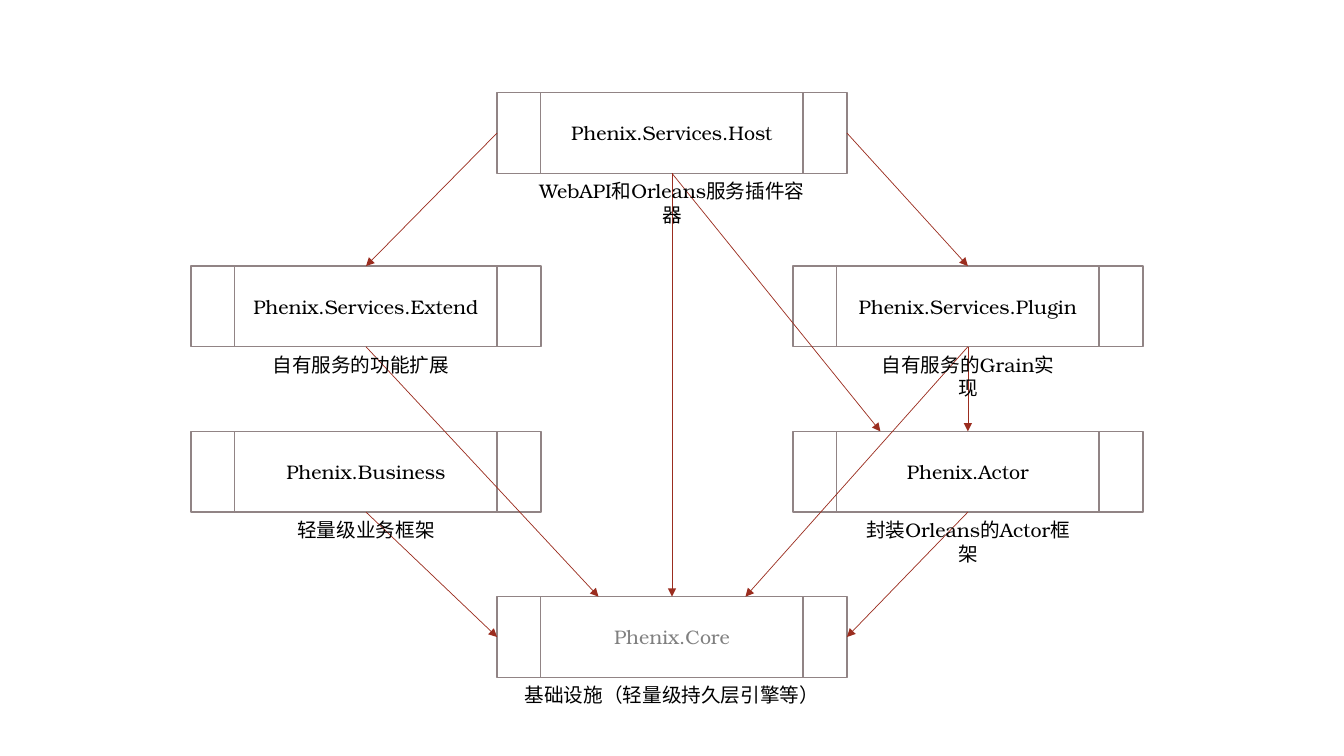
"""Build a one-slide dependency diagram of the Phenix modules."""
from lxml.etree import SubElement
from pptx import Presentation
from pptx.dml.color import RGBColor
from pptx.enum.shapes import MSO_CONNECTOR as Connector, MSO_SHAPE as Shape
from pptx.enum.text import MSO_ANCHOR as Anchor, PP_ALIGN as Align
from pptx.oxml.ns import qn
from pptx.util import Inches, Pt

FONT = "TeX Gyre Bonum"
BLACK, GRAY, WHITE, BORDER, ARROW = "000000", "808080", "FFFFFF", "918485", "9B2D1F"
SLIDE_WIDTH, SLIDE_HEIGHT = 13.33, 7.5
COLUMN_CENTERS = (3.63, SLIDE_WIDTH / 2, 9.6)
ROW_TOPS = (0.92, 2.64, 4.28, 5.92)
BOX_WIDTH, BOX_HEIGHT = 3.47, 0.8
CAPTION_HEIGHT, CAPTION_GAP = 0.34, 0.01
TOP, LEFT, BOTTOM, RIGHT = range(4)

MODULES = {
    "Phenix.Services.Host": dict(column=1, row=0, caption="WebAPI和Orleans服务插件容器", width=3.01),
    "Phenix.Actor": dict(column=2, row=2, caption="封装Orleans的Actor框架", width=2.39),
    "Phenix.Core": dict(column=1, row=3, caption="基础设施（轻量级持久层引擎等）", width=3.15, color=GRAY),
    "Phenix.Services.Extend": dict(column=0, row=1, caption="自有服务的功能扩展", width=1.97, shift=-0.05),
    "Phenix.Business": dict(column=0, row=2, caption="轻量级业务框架", width=1.58),
    "Phenix.Services.Plugin": dict(column=2, row=1, caption="自有服务的Grain实现", width=2.1),
}
DEPENDENCIES = (
    dict(source="Phenix.Services.Host", target="Phenix.Core"),
    dict(source="Phenix.Services.Host", target="Phenix.Services.Extend", source_side=LEFT),
    dict(source="Phenix.Services.Host", target="Phenix.Actor", top_share=0.25),
    dict(source="Phenix.Services.Host", target="Phenix.Services.Plugin", source_side=RIGHT),
    dict(source="Phenix.Services.Extend", target="Phenix.Core", top_share=0.29),
    dict(source="Phenix.Business", target="Phenix.Core", target_side=LEFT),
    dict(source="Phenix.Services.Plugin", target="Phenix.Core", top_share=0.71),
    dict(source="Phenix.Services.Plugin", target="Phenix.Actor"),
    dict(source="Phenix.Actor", target="Phenix.Core", target_side=RIGHT),
)


def rgb(value):
    """Turn a hex string into a colour."""
    return RGBColor.from_string(value)


def write(shape, text, size=14, color=BLACK, anchor=Anchor.MIDDLE):
    """Put one centred paragraph into a shape."""
    frame = shape.text_frame
    frame.word_wrap = True
    frame.vertical_anchor = anchor
    paragraph = frame.paragraphs[0]
    paragraph.alignment = Align.CENTER
    run = paragraph.add_run()
    run.text = text
    run.font.name, run.font.size = FONT, Pt(size)
    run.font.color.rgb = rgb(color)


def add_module(slide, name, module):
    """Draw the box of a module."""
    left = COLUMN_CENTERS[module["column"]] - BOX_WIDTH / 2
    box = slide.shapes.add_shape(
        Shape.FLOWCHART_PREDEFINED_PROCESS, Inches(left), Inches(ROW_TOPS[module["row"]]),
        Inches(BOX_WIDTH), Inches(BOX_HEIGHT))
    box.shadow.inherit = False
    box.fill.solid()
    box.fill.fore_color.rgb = rgb(WHITE)
    box.line.color.rgb = rgb(BORDER)
    box.line.width = Pt(1)
    write(box, name, color=module.get("color", BLACK))
    return box


def add_dependency(slide, source, target, source_side=BOTTOM, target_side=TOP, top_share=None):
    """Draw an arrow to a side of the target, or to a share of its top edge."""
    end_x = target.left + int(target.width * (top_share or 0))
    arrow = slide.shapes.add_connector(Connector.STRAIGHT, source.left, source.top, end_x, target.top)
    arrow.begin_connect(source, source_side)
    if top_share is None:
        arrow.end_connect(target, target_side)
    arrow.line.color.rgb = rgb(ARROW)
    arrow.line.width = Pt(0.5)
    SubElement(arrow.get_or_add_ln(), qn("a:tailEnd"), type="triangle")
    SubElement(arrow.element.spPr, qn("a:effectLst"))


def add_caption(slide, module):
    """Write the caption under a module's box."""
    center = COLUMN_CENTERS[module["column"]] + module.get("shift", 0)
    top = ROW_TOPS[module["row"]] + BOX_HEIGHT + CAPTION_GAP
    caption = slide.shapes.add_textbox(
        Inches(center - module["width"] / 2), Inches(top),
        Inches(module["width"]), Inches(CAPTION_HEIGHT))
    write(caption, module["caption"], anchor=Anchor.TOP)


def main():
    """Assemble and save the slide."""
    presentation = Presentation()
    presentation.slide_width, presentation.slide_height = Inches(SLIDE_WIDTH), Inches(SLIDE_HEIGHT)
    slide = presentation.slides.add_slide(presentation.slide_layouts[6])
    boxes = {name: add_module(slide, name, module) for name, module in MODULES.items()}
    for dependency in DEPENDENCIES:
        ends = {end: boxes[dependency[end]] for end in ("source", "target")}
        add_dependency(slide, **{**dependency, **ends})
    for module in MODULES.values():
        add_caption(slide, module)
    presentation.save("out.pptx")


if __name__ == "__main__":
    main()
